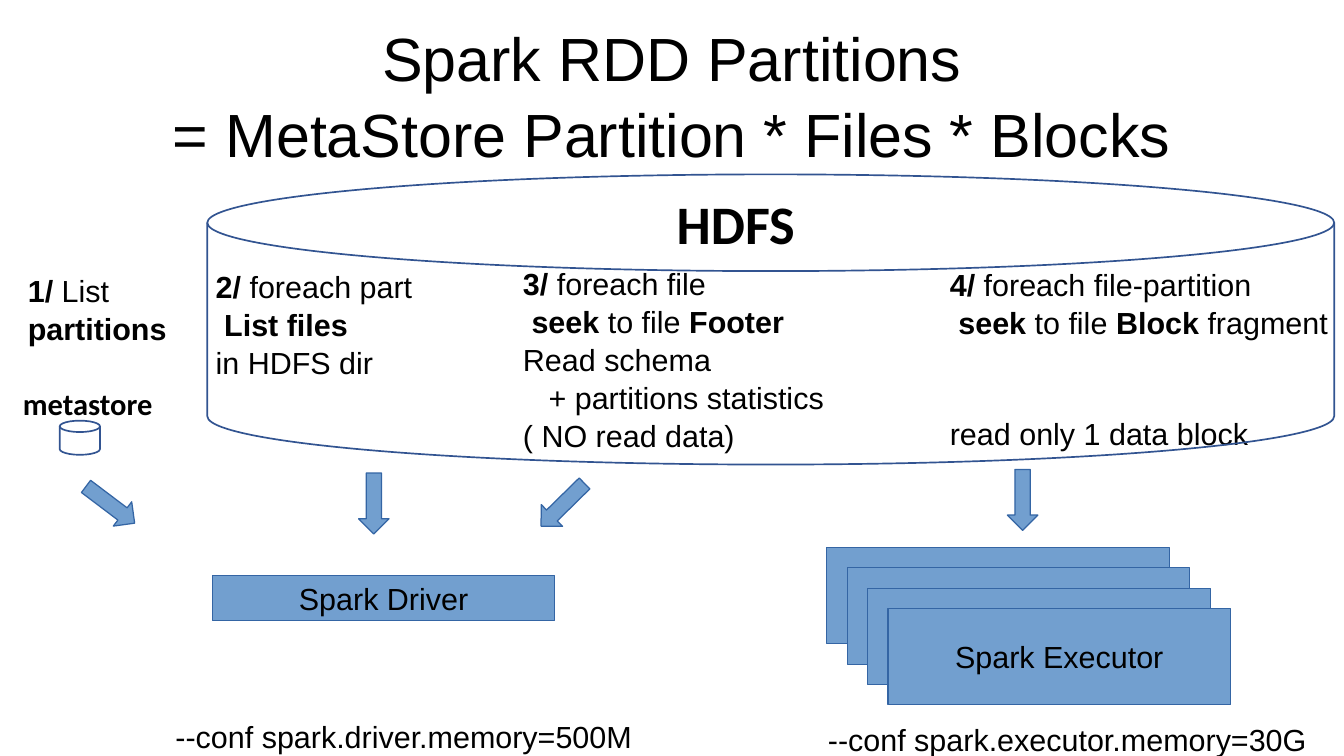
import pptx
import pptx.util
import pptx.dml.color
import pptx.enum.shapes
import pptx.enum.text
from dataclasses import dataclass

Inches = pptx.util.Inches
Pt = pptx.util.Pt
RGB = pptx.dml.color.RGBColor
SHAPE = pptx.enum.shapes.MSO_SHAPE
ALIGN = pptx.enum.text.PP_ALIGN
ANCHOR = pptx.enum.text.MSO_ANCHOR


@dataclass
class Theme:
    ink: RGB = RGB(0x00, 0x00, 0x00)
    block: RGB = RGB(0x72, 0x9F, 0xCF)
    block_edge: RGB = RGB(0x34, 0x65, 0xA4)
    disk_edge: RGB = RGB(0x32, 0x54, 0x91)
    title_size: int = 36
    store_size: int = 32
    body_size: int = 18
    body_font: str = "Arial"
    store_font: str = "Calibri"


theme = Theme()
deck = pptx.Presentation()
deck.slide_width = Inches(11.02)
deck.slide_height = Inches(6.2)
page = deck.slides.add_slide(deck.slide_layouts[6])


def add_text(left, top, width, height, lines, size=theme.body_size,
             font=theme.body_font, spacing=1.04, wrap=True):
    box = page.shapes.add_textbox(Inches(left), Inches(top), Inches(width), Inches(height))
    frame = box.text_frame
    frame.word_wrap = wrap
    for number, (indent, before, spans) in enumerate(lines):
        para = frame.add_paragraph() if number else frame.paragraphs[0]
        para.line_spacing = spacing
        if indent:
            para._p.get_or_add_pPr().set("marL", str(Inches(indent)))
        if before:
            para.space_before = Pt(before)
        for text, bold in spans:
            span = para.add_run()
            span.text = text
            span.font.name = font
            span.font.size = Pt(size)
            span.font.bold = bold
            span.font.color.rgb = theme.ink
    return box


def add_block(kind, left, top, width, height, label=""):
    block = page.shapes.add_shape(kind, Inches(left), Inches(top), Inches(width), Inches(height))
    block.shadow.inherit = False
    block.fill.solid()
    block.fill.fore_color.rgb = theme.block
    block.line.color.rgb = theme.block_edge
    block.line.width = Pt(0)
    if label:
        block.text_frame.text = label
        block.text_frame.vertical_anchor = ANCHOR.MIDDLE
        para = block.text_frame.paragraphs[0]
        para.alignment = ALIGN.CENTER
        para.font.name = theme.body_font
        para.font.size = Pt(theme.body_size)
        para.font.color.rgb = theme.ink
    return block


title = add_text(0, 0.08, 11.02, 1.37, [
    (0, 0, [("Spark RDD Partitions", False)]),
    (0, 0, [("= MetaStore Partition * Files * Blocks", False)]),
], size=theme.title_size, spacing=1.05)
title.text_frame.vertical_anchor = ANCHOR.MIDDLE
for para in title.text_frame.paragraphs:
    para.alignment = ALIGN.CENTER

add_block(SHAPE.RECTANGLE, 1.74, 4.72, 2.81, 0.37, "Spark Driver")

executor_count = 4
for number in range(executor_count):
    label = "Spark Executor" if number == executor_count - 1 else ""
    offset = number * 0.167
    add_block(SHAPE.RECTANGLE, 6.78 + offset, 4.49 + offset, 2.81, 0.79, label)

for left, top, angle in [(0.78, 3.89, 307.1), (2.94, 3.88, 0), (4.49, 3.89, 45.5), (8.26, 3.85, 0)]:
    arrow = add_block(SHAPE.DOWN_ARROW, left, top, 0.25, 0.5)
    arrow.rotation = angle

add_text(0.13, 2.17, 1.37, 0.7, [
    (0, 0, [("1/ ", True), ("List", False)]),
    (0, 0, [("partitions", True)]),
])
add_text(1.67, 2.14, 2.88, 0.97, [
    (0, 0, [("2/ ", True), ("foreach part", False)]),
    (0.07, 0, [("List files", True)]),
    (0, 0, [("in HDFS dir", False)]),
])
add_text(4.19, 2.11, 3.64, 1.55, [
    (0, 0, [("3/", True), (" foreach file", False)]),
    (0.07, 0, [("seek", True), (" to file ", False), ("Footer", True)]),
    (0, 0, [("Read schema", False)]),
    (0.21, 0, [("+ partitions statistics", False)]),
    (0, 0, [("( NO read data)", False)]),
])
add_text(7.69, 2.12, 3.3, 1.55, [
    (0, 0, [("4/", True), (" foreach file-partition", False)]),
    (0.07, 0, [("seek", True), (" to file ", False), ("Block", True), (" fragment", False)]),
    (0, 43, [("read only 1 data block", False)]),
], wrap=False)

for left, top, setting in [(1.34, 5.83, "--conf spark.driver.memory=500M"),
                           (6.69, 5.85, "--conf spark.executor.memory=30G")]:
    add_text(left, top, 4.25, 0.35, [(0, 0, [(setting, False)])])

for left, top, width, height in [(0.49, 3.45, 0.33, 0.28), (1.7, 1.43, 9.24, 2.38)]:
    disk = page.shapes.add_shape(SHAPE.FLOWCHART_MAGNETIC_DISK, Inches(left), Inches(top),
                                 Inches(width), Inches(height))
    disk.shadow.inherit = False
    disk.fill.background()
    disk.line.color.rgb = theme.disk_edge
    disk.line.width = Pt(1)

add_text(0.09, 3.11, 1.27, 0.4, [(0, 0, [("metastore", True)])],
         font=theme.store_font, spacing=1.0, wrap=False)
add_text(5.45, 1.51, 1.18, 0.64, [(0, 0, [("HDFS", True)])],
         size=theme.store_size, font=theme.store_font, spacing=1.0, wrap=False)

deck.save("out.pptx")
